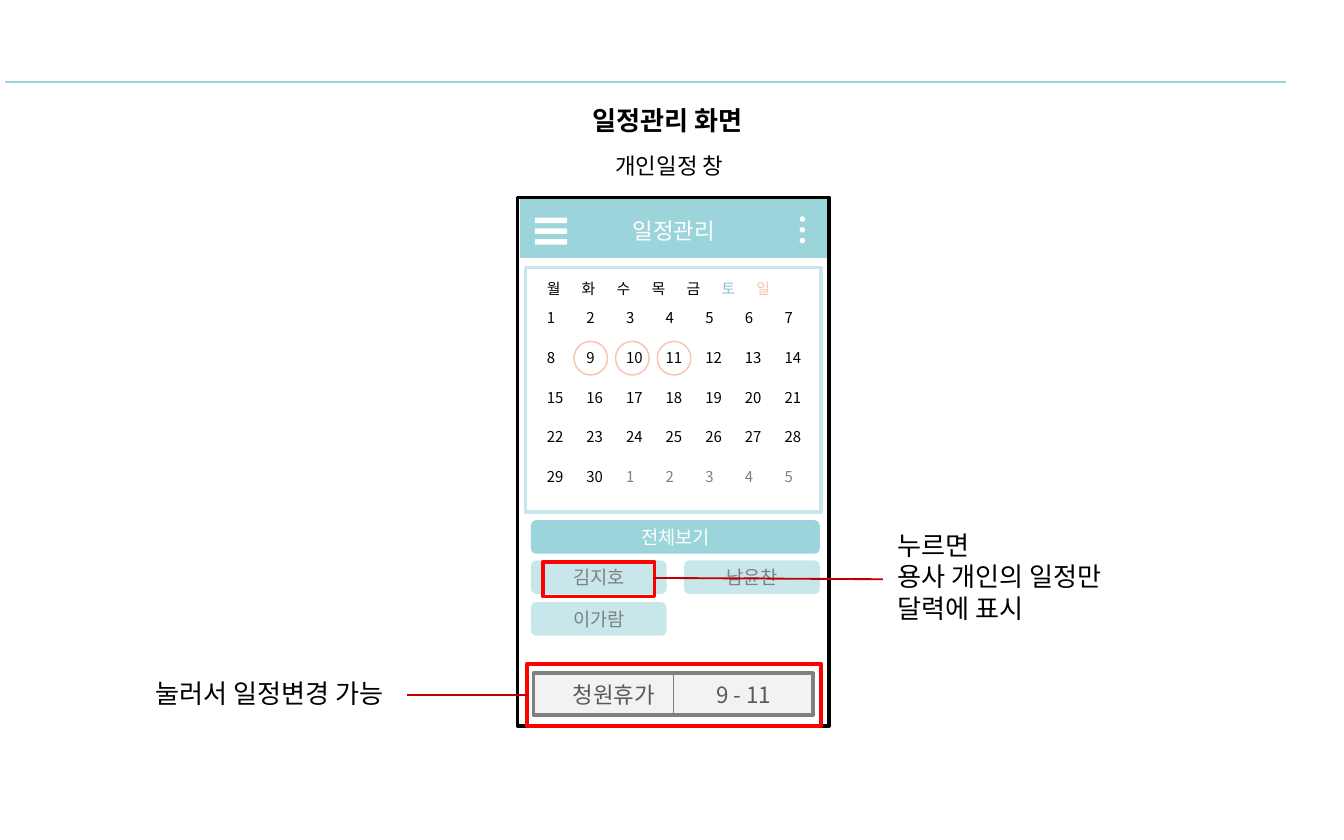
import lxml.etree
import pptx
import pptx.dml.color
import pptx.enum.shapes
import pptx.enum.text
import pptx.oxml.ns
import pptx.util

Inches = pptx.util.Inches
SHAPES = pptx.enum.shapes.MSO_SHAPE
ALIGN = pptx.enum.text.PP_ALIGN
ANCHOR = pptx.enum.text.MSO_ANCHOR
FONT = "Noto Sans CJK KR"
COLORS = {
    "teal": "9CD4DC", "pale": "C7E7EB", "blue": "8BBFCF", "peach": "FAC0B0",
    "black": "000000", "white": "FFFFFF", "gray": "808080", "dark": "595959",
    "light": "F2F2F2", "red": "FF0000", "crimson": "C00000",
}


def rgb(name):
    """Return the named colour."""
    return pptx.dml.color.RGBColor.from_string(COLORS[name])


def add_xml(parent, tag, **attributes):
    """Append a DrawingML element to a parent and return it."""
    return lxml.etree.SubElement(parent, pptx.oxml.ns.qn(tag), attributes)


def set_tabs(paragraph, stops):
    """Give a paragraph left tab stops, measured in inches."""
    tab_list = add_xml(paragraph._p.get_or_add_pPr(), "a:tabLst")
    for stop in stops:
        add_xml(tab_list, "a:tab", pos=str(Inches(stop)), algn="l")


def format_frame(frame, **values):
    """Apply the standard insets and the given values to a text frame."""
    settings = {
        "margin_left": Inches(0.1), "margin_right": Inches(0.1),
        "margin_top": Inches(0.05), "margin_bottom": Inches(0.05),
        "vertical_anchor": ANCHOR.TOP, "word_wrap": False,
        "auto_size": pptx.enum.text.MSO_AUTO_SIZE.NONE,
    }
    for name, value in (settings | values).items():
        setattr(frame, name, value)


def add_run(paragraph, text, size, color, bold=False):
    """Add formatted text to a paragraph."""
    run = paragraph.add_run()
    run.text = text
    for name, value in {"name": FONT, "size": pptx.util.Pt(size), "bold": bold}.items():
        setattr(run.font, name, value)
    run.font.color.rgb = rgb(color)
    add_xml(run._r.get_or_add_rPr(), "a:ea", typeface=FONT)


def add_text(slide, box, lines, size, color="black"):
    """Add a text box with one paragraph for each line."""
    frame = slide.shapes.add_textbox(*map(Inches, box)).text_frame
    format_frame(frame)
    for index, line in enumerate(lines):
        paragraph = frame.add_paragraph() if index else frame.paragraphs[0]
        add_run(paragraph, line, size, color)
    return frame


def add_shape(slide, kind, box, fill=None, line=None, width=2):
    """Add a preset shape with an optional fill and outline."""
    shape = slide.shapes.add_shape(kind, *map(Inches, box))
    shape.shadow.inherit = False
    if fill:
        shape.fill.solid()
        shape.fill.fore_color.rgb = rgb(fill)
    else:
        shape.fill.background()
    if line:
        shape.line.color.rgb = rgb(line)
        shape.line.width = pptx.util.Pt(width)
    else:
        shape.line.fill.background()
    return shape


def add_line(slide, start, end, color, width):
    """Add a straight line between two points."""
    line = slide.shapes.add_connector(
        pptx.enum.shapes.MSO_CONNECTOR.STRAIGHT, *map(Inches, start + end))
    line.line.color.rgb = rgb(color)
    line.line.width = pptx.util.Pt(width)
    add_xml(line._element.spPr, "a:effectLst")


def add_heading(slide, left, top):
    """Place the title and the subtitle under the rule."""
    add_line(slide, (0.04, 0.61), (9.57, 0.61), "teal", 0.75)
    title = slide.shapes.title
    box = {"left": left, "top": top, "width": 1.37, "height": 0.34}
    for name, value in box.items():
        setattr(title, name, Inches(value))
    format_frame(title.text_frame)
    paragraph = title.text_frame.paragraphs[0]
    paragraph.alignment = ALIGN.LEFT
    add_run(paragraph, "일정관리 화면", 14, "black", bold=True)
    add_text(slide, (left + 0.17, top + 0.35, 1.04, 0.3), ["개인일정 창"], 12)


def add_header(slide, left, top):
    """Place the app bar with its menu icons."""
    add_shape(slide, SHAPES.RECTANGLE, (left, top, 2.3, 0.44), "teal")
    for index in range(3):
        offset = top + 0.14 + 0.08 * index
        add_shape(slide, SHAPES.ROUNDED_RECTANGLE, (left + 0.11, offset, 0.24, 0.04), "white")
        add_shape(slide, SHAPES.OVAL, (left + 2.08, offset - 0.01, 0.04, 0.04), "white")
    add_text(slide, (left + 0.74, top + 0.09, 0.83, 0.3), ["일정관리"], 12, "white")


def add_calendar(slide, left, top):
    """Place the month grid with its marked days."""
    add_shape(slide, SHAPES.RECTANGLE, (left, top, 2.2, 1.82), line="pale")
    frame = add_text(slide, (left + 0.06, top + 0.04, 1.98, 0.24), [], 8)
    frame.word_wrap = True
    set_tabs(frame.paragraphs[0], [0.26 * column for column in range(1, 7)])
    weekend = {"토": "blue", "일": "peach"}
    for index, day in enumerate("월화수목금토일"):
        add_run(frame.paragraphs[0], "\t" * (index > 0) + day, 8, weekend.get(day, "black"))
    for index in range(35):
        row, column = divmod(index, 7)
        day = str(index % 30 + 1)
        box = (left + 0.06 + 0.295 * column, top + 0.26 + 0.295 * row,
               0.2 + 0.07 * len(day), 0.24)
        add_text(slide, box, [day], 8, "black" if index < 30 else "gray")
    for index in range(3):
        add_shape(slide, SHAPES.OVAL, (left + 0.36 + 0.31 * index, top + 0.55, 0.25, 0.25),
                  line="peach", width=0.75)


def add_button(slide, box, text, fill, color):
    """Place one rounded button with a centred label."""
    frame = add_shape(slide, SHAPES.ROUNDED_RECTANGLE, box, fill).text_frame
    format_frame(frame, vertical_anchor=ANCHOR.MIDDLE)
    frame.paragraphs[0].alignment = ALIGN.CENTER
    add_run(frame.paragraphs[0], text, 10, color)


def add_people(slide, left, top):
    """Place the view-all button, the person buttons and the highlight."""
    add_button(slide, (left, top, 2.15, 0.25), "전체보기", "teal", "white")
    for index, name in enumerate(["김지호", "남윤찬", "이가람"]):
        row, column = divmod(index, 2)
        box = (left + 1.14 * column, top + 0.3 + 0.31 * row, 1.01, 0.25)
        add_button(slide, box, name, "pale", "gray")
    add_shape(slide, SHAPES.RECTANGLE, (left + 0.09, top + 0.31, 0.83, 0.26), line="red")


def add_entry(slide, left, top):
    """Place the schedule entry with its highlight."""
    entry = add_shape(slide, SHAPES.RECTANGLE, (left + 0.05, top + 0.07, 2.08, 0.31),
                      "light", "gray")
    format_frame(entry.text_frame, vertical_anchor=ANCHOR.MIDDLE,
                 margin_left=Inches(0.29), word_wrap=True)
    paragraph = entry.text_frame.paragraphs[0]
    paragraph.alignment = ALIGN.LEFT
    set_tabs(paragraph, [1.07])
    add_run(paragraph, "청원휴가\t9 - 11", 12, "dark")
    add_line(slide, (left + 1.09, top + 0.38), (left + 1.09, top + 0.07), "gray", 0.75)
    add_shape(slide, SHAPES.RECTANGLE, (left, top, 2.19, 0.46), line="red")


def add_phone(slide, left, top):
    """Place the phone screen and its regions."""
    add_header(slide, left + 0.02, top + 0.01)
    add_calendar(slide, left + 0.06, top + 0.52)
    add_people(slide, left + 0.1, top + 2.4)
    add_shape(slide, SHAPES.RECTANGLE, (left, top, 2.32, 3.93), line="black")
    add_entry(slide, left + 0.07, top + 3.47)


def add_callout(slide, box, lines, start, end):
    """Place an explanation and the line that ties it to the screen."""
    add_text(slide, box, lines, 14)
    add_line(slide, start, end, "crimson", 1)


def main():
    """Build and save the slide."""
    presentation = pptx.Presentation()
    presentation.slide_width = Inches(10)
    presentation.slide_height = Inches(6.25)
    slide = presentation.slides.add_slide(presentation.slide_layouts[5])
    add_heading(slide, 4.31, 0.73)
    add_phone(slide, 3.85, 1.47)
    add_callout(slide, (6.58, 3.89, 1.84, 0.81),
                ["누르면", "용사 개인의 일정만", "달력에 표시"], (4.86, 4.3), (6.57, 4.31))
    add_callout(slide, (1.06, 4.99, 1.97, 0.34),
                ["눌러서 일정변경 가능"], (3.03, 5.17), (3.93, 5.17))
    presentation.save("out.pptx")


if __name__ == "__main__":
    main()
